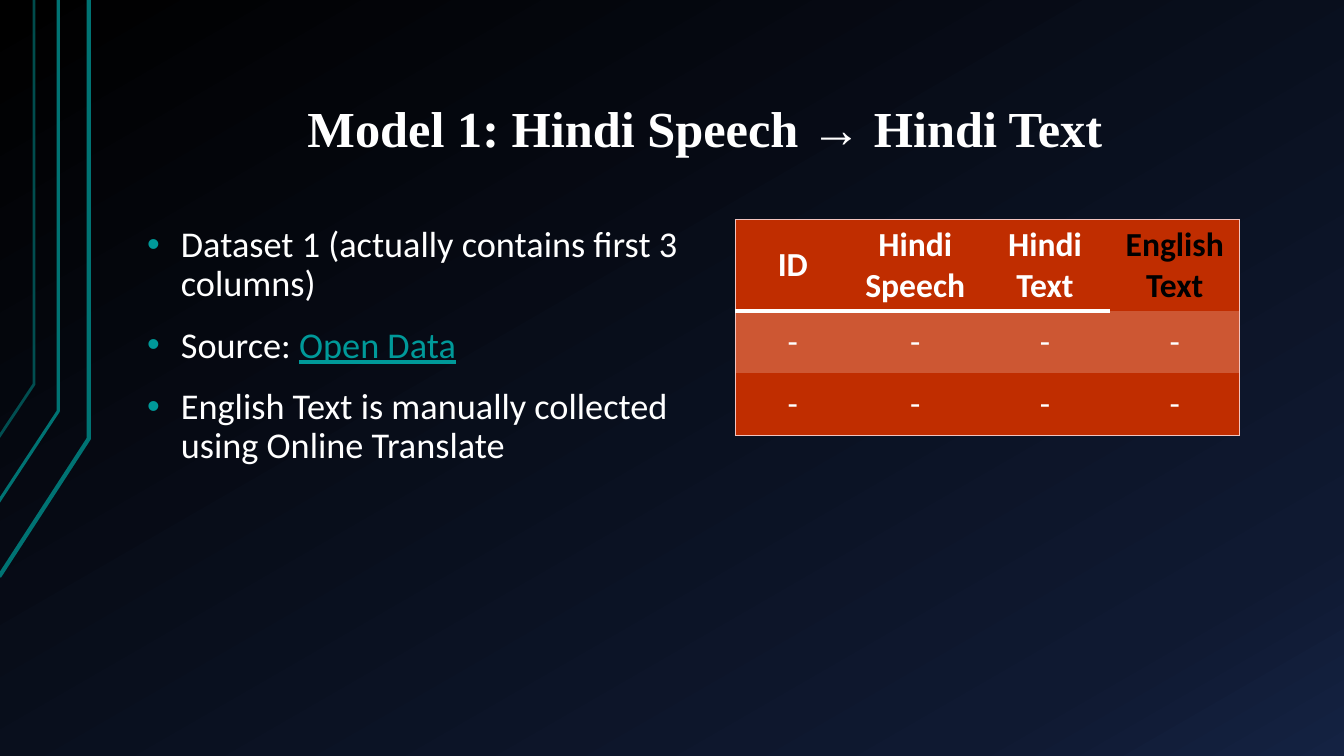
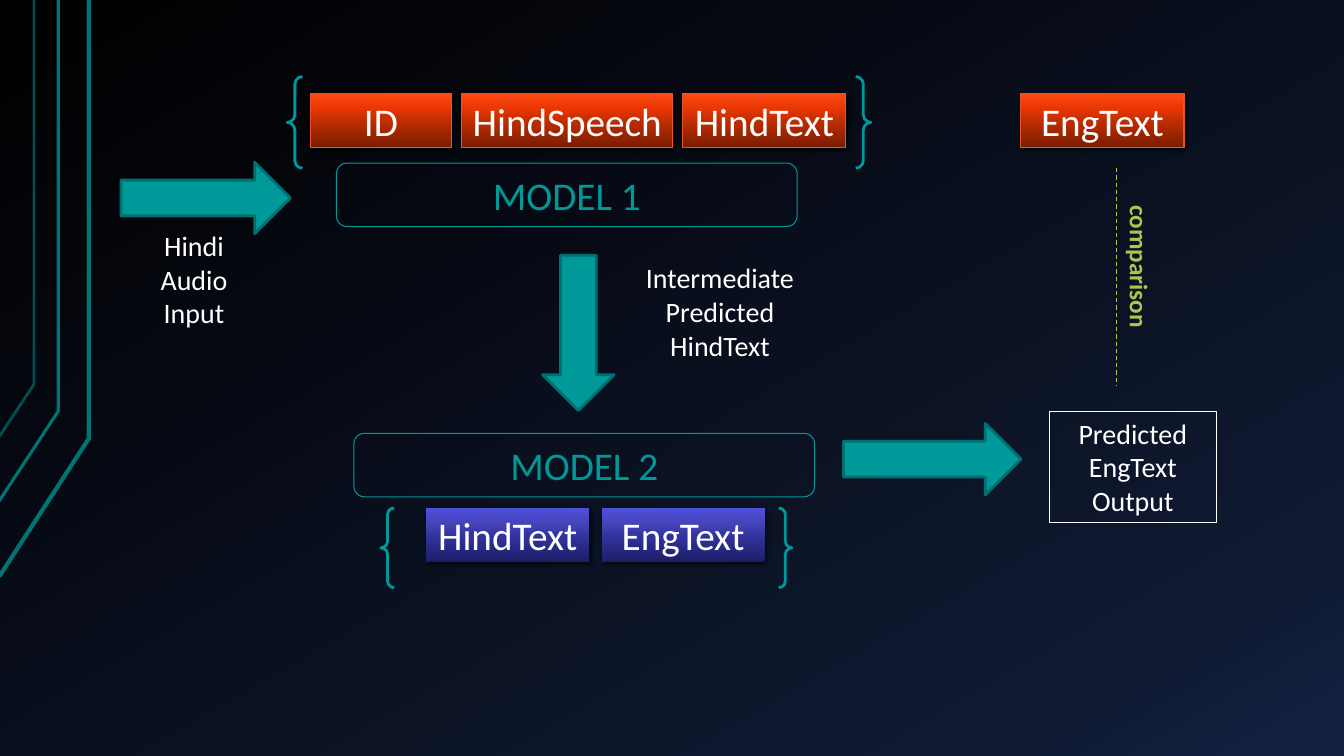
from lxml.etree import SubElement
from pptx import Presentation
from pptx.dml.color import RGBColor
from pptx.enum.dml import MSO_LINE
from pptx.enum.shapes import MSO_CONNECTOR, MSO_SHAPE as SHAPE
from pptx.enum.text import MSO_ANCHOR as ANCHOR, PP_ALIGN as ALIGN
from pptx.oxml.ns import qn
from pptx.util import Cm, Pt

# Colours
WHITE = RGBColor(0xFF, 0xFF, 0xFF)
BLACK = RGBColor(0x00, 0x00, 0x00)
TEAL = RGBColor(0x00, 0x99, 0x99)
TEAL_EDGE = RGBColor(0x00, 0x71, 0x71)
TEAL_STROKE = RGBColor(0x00, 0x73, 0x73)
RED = RGBColor(0xC0, 0x2D, 0x00)
RED_BAND = RGBColor(0xCD, 0x57, 0x33)
RED_EDGE = RGBColor(0xE5, 0x57, 0x2B)
PINK = RGBColor(0xF2, 0xC3, 0xBE)
LIME = RGBColor(0xAF, 0xC3, 0x4D)


def stops(*pairs):
    return [(position, RGBColor.from_string(code)) for position, code in pairs]


NIGHT = stops((0, "000000"), (85, "0F1931"), (100, "142242"))
RED_GLOW = stops((0, "771C00"), (50, "C02D00"), (70, "E63503"), (100, "FF4911"))
BLUE_GLOW = stops((0, "1D1D66"), (50, "3333A1"), (70, "4444B8"), (100, "4F4FDD"))

# Format values
BODY = {"name": "Calibri", "size": Pt(25.9)}
TITLE = {"name": "Times New Roman", "size": Pt(36), "bold": True}
CELL = {"name": "Calibri", "size": Pt(24)}
LABEL = {"name": "Calibri", "size": Pt(28)}
NOTE = {"name": "Calibri", "size": Pt(20)}
SIDE_NOTE = {"name": "Calibri", "size": Pt(18), "bold": True}
WIDE_INSETS = {"margin_left": Cm(0.33), "margin_right": Cm(0.33),
               "margin_top": Cm(0.18), "margin_bottom": Cm(0.18)}
PLAIN_TABLE_STYLE = "{2D5ABB26-0587-4C30-8999-92F81FD0307C}"


# Formatting helpers
def apply(target, values):
    for attribute, value in values.items():
        setattr(target, attribute, value)


def add_colour(parent, colour, alpha=None):
    node = SubElement(parent, qn("a:srgbClr"), val=str(colour))
    if alpha is not None:
        SubElement(node, qn("a:alpha"), val=str(alpha * 1000))


def set_gradient(fill, owner, colour_stops, angle):
    """Angle runs clockwise from the left-to-right direction."""
    fill.gradient()
    fill.gradient_angle = 360 - angle
    stop_list = owner.find(".//" + qn("a:gsLst"))
    for old in list(stop_list):
        stop_list.remove(old)
    for position, colour in colour_stops:
        add_colour(SubElement(stop_list, qn("a:gs"), pos=str(position * 1000)), colour)


def set_line(line, colour, width):
    if colour is None:
        line.fill.background()
        return
    line.color.rgb = colour
    line.width = Pt(width)


def add_drop_shadow(shape):
    effects = shape._element.spPr.find(qn("a:effectLst"))
    shadow = SubElement(effects, qn("a:outerShdw"), blurRad=str(Pt(3)), dist=str(Pt(2)),
                        dir=str(45 * 60000), algn="tl", rotWithShape="0")
    add_colour(shadow, BLACK, 60)


def add_run(paragraph, text, font, colour, **extra):
    run = paragraph.add_run()
    run.text = text
    apply(run.font, {**font, **extra})
    run.font.color.rgb = colour


def write(frame, lines, font, colour, align=ALIGN.CENTER):
    for index, text in enumerate(lines):
        paragraph = frame.paragraphs[0] if index == 0 else frame.add_paragraph()
        paragraph.alignment = align
        add_run(paragraph, text, font, colour)


# Element builders; boxes are (left, top, width, height) in centimetres
def add_box(slide, kind, box, edge=None, width=0.75, fill=None):
    shape = slide.shapes.add_shape(kind, *map(Cm, box))
    shape.shadow.inherit = False
    if fill is None:
        shape.fill.background()
    else:
        shape.fill.solid()
        shape.fill.fore_color.rgb = fill
    set_line(shape.line, edge, width)
    return shape


def add_text(slide, box, **frame_values):
    label = slide.shapes.add_textbox(*map(Cm, box))
    apply(label.text_frame, {"word_wrap": True, **frame_values})
    return label


def add_note(slide, box, lines):
    write(add_text(slide, box).text_frame, lines, NOTE, WHITE)


def add_chips(slide, left, top, gap, chips, glow, edge=None):
    for text, width in chips:
        chip = add_box(slide, SHAPE.RECTANGLE, (left, top, width, 1.37), edge)
        set_gradient(chip.fill, chip._element.spPr, glow, 270)
        add_drop_shadow(chip)
        apply(chip.text_frame, {"word_wrap": False, "vertical_anchor": ANCHOR.MIDDLE})
        write(chip.text_frame, [text], LABEL, WHITE)
        left += width + gap


def add_model(slide, left, top, name):
    model = add_box(slide, SHAPE.ROUNDED_RECTANGLE, (left, top, 11.61, 1.6), TEAL)
    model.text_frame.vertical_anchor = ANCHOR.MIDDLE
    write(model.text_frame, [name], LABEL, TEAL)


def add_arrow(slide, left, top, length, rotation=0):
    arrow = add_box(slide, SHAPE.RIGHT_ARROW, (left, top, length, 1.8), TEAL_EDGE, 2, TEAL)
    arrow.rotation = rotation


def add_bullet(paragraph, runs):
    apply(paragraph, {"line_spacing": 0.9, "space_before": Pt(16)})
    properties = paragraph._p.get_or_add_pPr()
    properties.set("marL", str(Cm(0.85)))
    properties.set("indent", str(-Cm(0.85)))
    add_colour(SubElement(properties, qn("a:buClr")), TEAL)
    SubElement(properties, qn("a:buFont"), typeface="Arial")
    SubElement(properties, qn("a:buChar"), char="•")
    for text, colour, underline in runs:
        add_run(paragraph, text, BODY, colour, underline=underline)


def set_border(cell, side, colour, width):
    border = SubElement(cell._tc.get_or_add_tcPr(), qn("a:ln" + side), w=str(Pt(width)))
    add_colour(SubElement(border, qn("a:solidFill")), colour)


def add_dataset_table(slide, box, widths, heights, rows):
    table = slide.shapes.add_table(len(rows), len(widths), *map(Cm, box)).table
    apply(table, {"first_row": False, "horz_banding": False})
    table._tbl.tblPr.find(qn("a:tableStyleId")).text = PLAIN_TABLE_STYLE
    for column, width in zip(table.columns, widths):
        column.width = Cm(width)
    for row, height in zip(table.rows, heights):
        row.height = Cm(height)
    last_row, last_column = len(rows) - 1, len(widths) - 1
    for r, row in enumerate(rows):
        for c, lines in enumerate(row):
            cell = table.cell(r, c)
            # Outer frame, and a rule under the columns the dataset supplies
            borders = [("L", c == 0, PINK, 0.75), ("R", c == last_column, PINK, 0.75),
                       ("T", r == 0, PINK, 0.75), ("B", r == last_row, PINK, 0.75),
                       ("B", r == 0 and c < last_column, WHITE, 3)]
            for side, shown, colour, width in borders:
                if shown:
                    set_border(cell, side, colour, width)
            cell.fill.solid()
            cell.fill.fore_color.rgb = RED_BAND if r == 1 else RED
            cell.vertical_anchor = ANCHOR.MIDDLE
            added = r == 0 and c == last_column
            write(cell.text_frame, lines, {**CELL, "bold": r == 0},
                  BLACK if added else WHITE)


# Shared backdrop
def add_slide(deck):
    slide = deck.slides.add_slide(deck.slide_layouts[6])
    set_gradient(slide.background.fill, slide._element, NIGHT, 60)
    strokes = [(-0.02, 14.53, 2.24, 11.05, 3, 100),
               (-0.05, 12.67, 1.47, 10.36, 2.25, 100),
               (-0.03, 11.02, 0.86, 9.68, 2, 65)]
    for start, foot, bend, knee, width, alpha in strokes:
        builder = slide.shapes.build_freeform(Cm(start), Cm(foot))
        builder.add_line_segments([(Cm(bend), Cm(knee)), (Cm(bend), 0)], close=False)
        stroke = builder.convert_to_shape()
        stroke.shadow.inherit = False
        stroke.fill.background()
        set_line(stroke.line, TEAL_STROKE, width)
        colour = stroke._element.spPr.find(qn("a:ln")).find(".//" + qn("a:srgbClr"))
        SubElement(colour, qn("a:alpha"), val=str(alpha * 1000))
    return slide


# Slides
def build_dataset_slide(deck):
    slide = add_slide(deck)
    title = add_text(slide, (3.38, 1.53, 28.78, 2.64), vertical_anchor=ANCHOR.BOTTOM,
                     **WIDE_INSETS).text_frame
    write(title, ["Model 1: Hindi Speech → Hindi Text"], TITLE, WHITE)
    title.paragraphs[0].line_spacing = 0.9

    facts = [
        [("Dataset 1 (actually contains first 3 columns)", WHITE, False)],
        [("Source: ", WHITE, False), ("Open Data", TEAL, True)],
        [("English Text is manually collected using Online Translate", WHITE, False)],
    ]
    body = add_text(slide, (3.38, 5.52, 14.1, 6.58), **WIDE_INSETS).text_frame
    for index, runs in enumerate(facts):
        add_bullet(body.add_paragraph() if index else body.paragraphs[0], runs)

    header = [["ID"], ["Hindi", "Speech"], ["Hindi Text"], ["English Text"]]
    blank_row = [["-"]] * len(header)
    add_dataset_table(slide, (18.53, 5.54, 12.71, 5.44), [2.9] + [3.27] * 3,
                      [2.3, 1.57, 1.57], [header, blank_row, blank_row])


def build_pipeline_slide(deck):
    slide = add_slide(deck)

    # Data fields
    fields = [("ID", 3.56), ("HindSpeech", 5.33), ("HindText", 4.11)]
    add_chips(slide, 7.82, 2.36, 0.25, fields, RED_GLOW, RED_EDGE)
    add_chips(slide, 10.74, 12.8, 0.31, [("HindText", 4.11), ("EngText", 4.11)], BLUE_GLOW)
    add_chips(slide, 25.73, 2.36, 0, [("EngText", 4.11)], RED_GLOW, RED_EDGE)

    # Models with their braces
    add_model(slide, 8.48, 4.11, "MODEL 1")
    add_model(slide, 8.92, 10.92, "MODEL 2")
    for braces in [(7.24, 1.93, 14.71, 2.31), (9.6, 12.8, 10.36, 2.01)]:
        add_box(slide, SHAPE.DOUBLE_BRACE, braces, TEAL, 2)

    # Flow
    add_arrow(slide, 3.05, 4.09, 4.27)
    add_arrow(slide, 12.62, 7.49, 3.91, 90)
    add_arrow(slide, 21.26, 10.67, 4.47)
    add_note(slide, (3.05, 5.64, 3.68, 2.84), ["Hindi Audio", "Input"])
    add_note(slide, (15.77, 6.45, 4.75, 2.82), ["Intermediate", "Predicted", "HindText"])
    output = add_box(slide, SHAPE.RECTANGLE, (26.44, 10.36, 4.22, 2.82), WHITE)
    output.text_frame.vertical_anchor = ANCHOR.TOP
    write(output.text_frame, ["Predicted", "EngText", "Output"], NOTE, WHITE)

    # Comparison
    link = slide.shapes.add_connector(MSO_CONNECTOR.STRAIGHT, Cm(28.13), Cm(4.24),
                                      Cm(28.13), Cm(9.73))
    set_line(link.line, LIME, 0.75)
    link.line.dash_style = MSO_LINE.DASH
    SubElement(link._element.spPr, qn("a:effectLst"))
    comparison = add_text(slide, (25.48, 7.65, 6.48, 1.02))
    comparison.rotation = 90
    write(comparison.text_frame, ["comparison"], SIDE_NOTE, LIME, ALIGN.LEFT)


def main():
    deck = Presentation()
    apply(deck, {"slide_width": Cm(33.87), "slide_height": Cm(19.05)})
    build_dataset_slide(deck)
    build_pipeline_slide(deck)
    deck.save("out.pptx")


if __name__ == "__main__":
    main()
